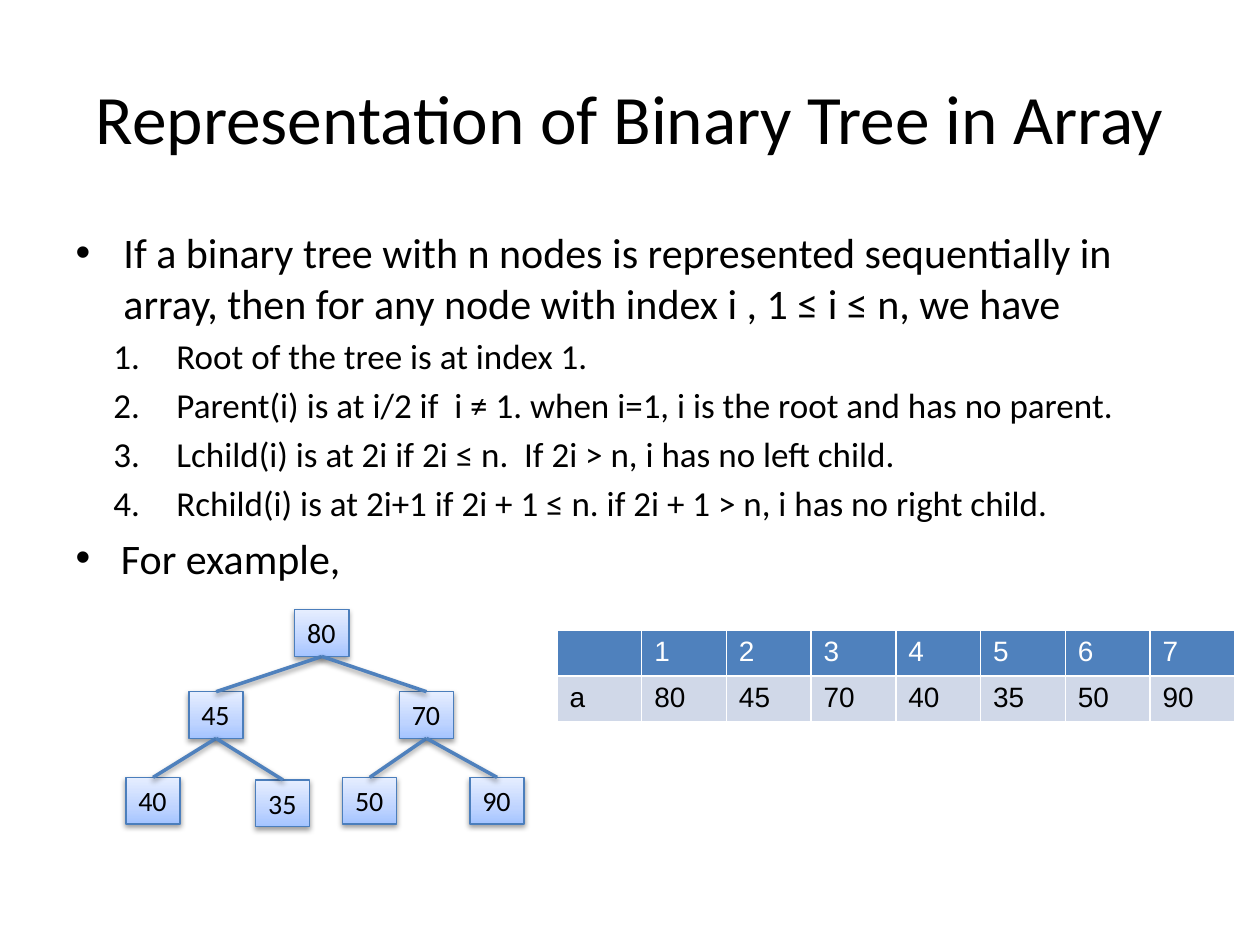
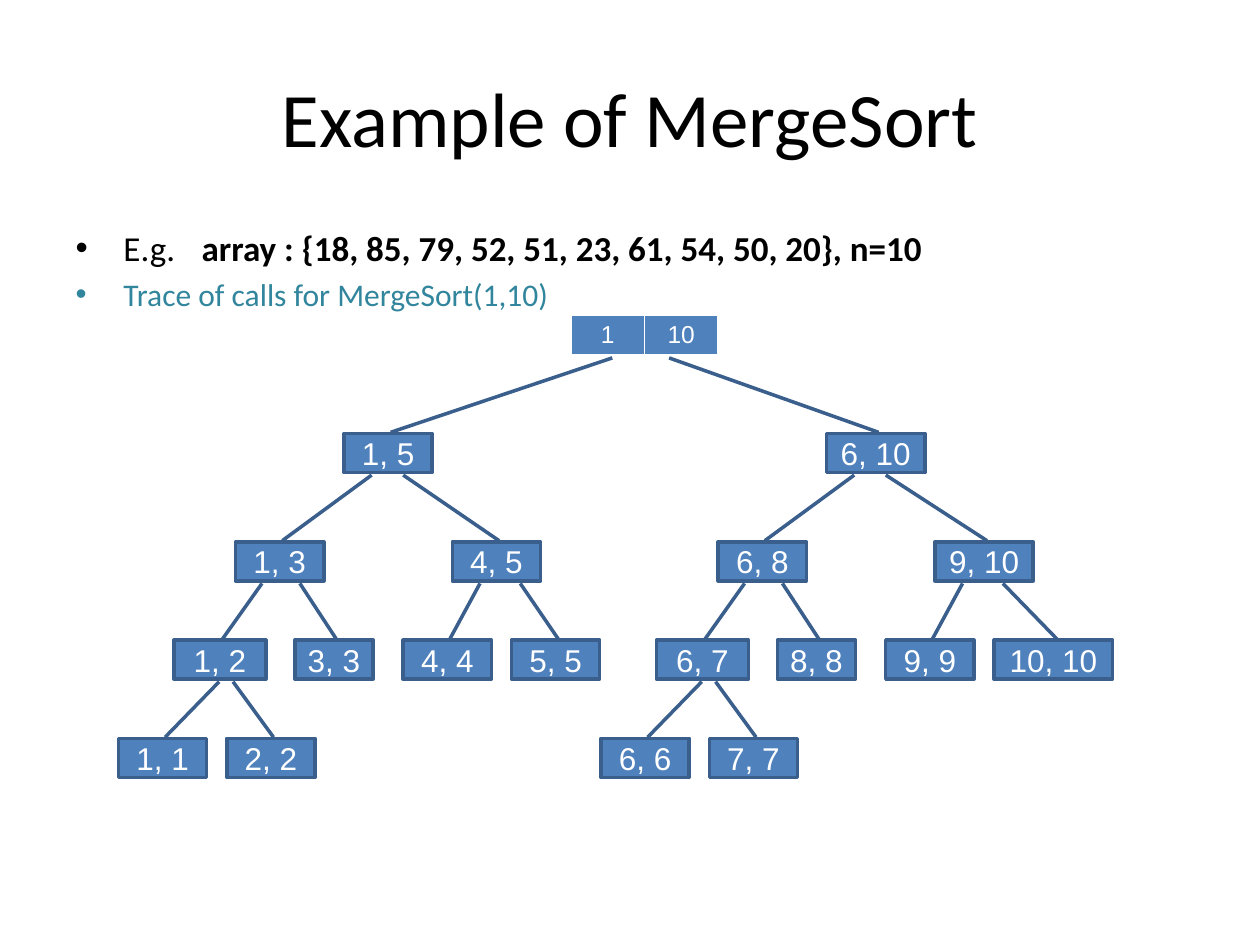
import copy
from dataclasses import dataclass

import lxml.etree
import pptx
import pptx.dml.color
import pptx.enum.shapes
import pptx.enum.text
import pptx.oxml.ns
import pptx.util

Inches = pptx.util.Inches
Pt = pptx.util.Pt
qn = pptx.oxml.ns.qn
Shapes = pptx.enum.shapes.MSO_SHAPE
Align = pptx.enum.text.PP_ALIGN
Anchor = pptx.enum.text.MSO_ANCHOR


@dataclass(frozen=True)
class Theme:
    heading_font: str = "Calibri"
    diagram_font: str = "Arial"
    ink: str = "000000"
    white: str = "FFFFFF"
    blue: str = "4F81BD"
    outline: str = "4B7EBC"
    dark_blue: str = "3A5F8C"
    pale_blue: str = "D0D8E8"
    teal: str = "31859C"
    node_gradient: tuple = ((0, "A4C4FF"), (0.35, "BFD4FF"), (1, "E6EEFF"))
    title_size: float = 44
    tight_title_size: float = 39.6
    list_size: float = 24
    sublist_size: float = 20
    note_size: float = 18
    node_size: float = 16
    small_size: float = 14


THEME = Theme()


@dataclass(frozen=True)
class Box:
    left: float
    top: float
    width: float
    height: float

    def emu(self):
        return [Inches(v) for v in (self.left, self.top, self.width, self.height)]


TITLE_BOX = Box(0.5, 0.3, 9, 1.25)
BODY_BOX = Box(0.5, 1.75, 9, 4.95)


# Shared helpers
def rgb(value):
    return pptx.dml.color.RGBColor.from_string(value)


def set_font(font, size, color, name=THEME.heading_font, bold=False):
    font.name, font.size, font.bold = name, Pt(size), bold
    font.color.rgb = rgb(color)


def place(shape, box):
    shape.left, shape.top, shape.width, shape.height = box.emu()


def add_page(deck, title, size):
    page = deck.slides.add_slide(deck.slide_layouts[1])
    heading = page.shapes.title
    place(heading, TITLE_BOX)
    frame = heading.text_frame
    frame.text, frame.vertical_anchor = title, Anchor.MIDDLE
    frame.paragraphs[0].alignment = Align.CENTER
    set_font(frame.paragraphs[0].font, size, THEME.ink)
    return page


def set_marker(para, margin, hanging, numbered=False):
    props = para._p.get_or_add_pPr()
    props.set("marL", str(Inches(margin)))
    props.set("indent", str(-Inches(hanging)))
    kind, value = ("buAutoNum", ("type", "arabicPeriod")) if numbered else ("buChar", ("char", "•"))
    marker = lxml.etree.Element(qn("a:" + kind))
    marker.set(*value)
    # Markers come before the default run properties
    defaults = props.find(qn("a:defRPr"))
    defaults.addprevious(marker)


def add_list(page, box, items):
    """Each item: text, size, colour, margin, hanging indent, numbered."""
    body = page.placeholders[1]
    place(body, box)
    frame = body.text_frame
    for index, (text, size, color, margin, hanging, numbered) in enumerate(items):
        para = frame.add_paragraph() if index else frame.paragraphs[0]
        para.text, para.level = text, int(numbered)
        set_font(para.font, size, color)
        set_marker(para, margin, hanging, numbered)
    return frame


def add_soft_shadow(shape):
    props = shape._element.spPr
    for old in props.findall(qn("a:effectLst")):
        props.remove(old)
    effects = lxml.etree.SubElement(props, qn("a:effectLst"))
    shadow = lxml.etree.SubElement(effects, qn("a:outerShdw"), blurRad=str(Pt(3.1)),
                                   dist=str(Pt(1.6)), dir="5400000", rotWithShape="0")
    color = lxml.etree.SubElement(shadow, qn("a:srgbClr"), val=THEME.ink)
    lxml.etree.SubElement(color, qn("a:alpha"), val="38000")


def add_grid(page, box, rows, size, align):
    """Table with a blue first row and pale rows below it."""
    grid = page.shapes.add_table(len(rows), len(rows[0]), *box.emu()).table
    for r, row in enumerate(rows):
        fill, ink = (THEME.pale_blue, THEME.ink) if r else (THEME.blue, THEME.white)
        for c, text in enumerate(row):
            cell = grid.cell(r, c)
            cell.fill.solid()
            cell.fill.fore_color.rgb = rgb(fill)
            cell.text = text
            para = cell.text_frame.paragraphs[0]
            para.alignment = align
            set_font(para.font, size, ink, THEME.diagram_font)


# Binary tree: node i hangs under node i // 2
NODE_WIDTH, NODE_HEIGHT = 0.43, 0.37
VALUES = ["80", "45", "70", "40", "35", "50", "90"]
NODE_OFFSETS = [(1.34, 0), (0.5, 0.65), (2.17, 0.65),
                (0, 1.33), (1.03, 1.35), (1.72, 1.33), (2.73, 1.33)]


def add_tree_node(page, box, text):
    node = page.shapes.add_shape(Shapes.RECTANGLE, *box.emu())
    node.fill.gradient()
    node.fill.gradient_angle = 90
    stops = node._element.spPr.find(qn("a:gradFill")).find(qn("a:gsLst"))
    stops.insert(1, copy.deepcopy(stops[0]))
    for stop, (position, color) in zip(node.fill.gradient_stops, THEME.node_gradient):
        stop.position = position
        stop.color.rgb = rgb(color)
    node.line.color.rgb = rgb(THEME.outline)
    node.line.width = Pt(0.75)
    add_soft_shadow(node)
    frame = node.text_frame
    frame.text, frame.word_wrap, frame.vertical_anchor = text, False, Anchor.TOP
    frame.paragraphs[0].alignment = Align.LEFT
    set_font(frame.paragraphs[0].font, THEME.node_size, THEME.ink)


def add_binary_tree(page, left, top):
    boxes = [Box(left + x, top + y, NODE_WIDTH, NODE_HEIGHT) for x, y in NODE_OFFSETS]
    for box, value in zip(boxes, VALUES):
        add_tree_node(page, box, value)
    for index in range(2, len(boxes) + 1):
        parent, child = boxes[index // 2 - 1], boxes[index - 1]
        edge = page.shapes.add_connector(
            pptx.enum.shapes.MSO_CONNECTOR.STRAIGHT,
            Inches(parent.left + NODE_WIDTH / 2), Inches(parent.top + NODE_HEIGHT),
            Inches(child.left + NODE_WIDTH / 2), Inches(child.top))
        edge.line.color.rgb = rgb(THEME.blue)
        edge.line.width = Pt(2)
        add_soft_shadow(edge)


# Merge sort calls: each callout points up to its parent
CALL_HEIGHT = 0.31
LEVEL_TOPS = [0, 0.86, 1.64, 2.42]
# first, last, level, left, width, pointer x
CALLS = [
    (1, 3, 1, 0.93, 0.7, 2.01), (1, 2, 2, 0.44, 0.73, 1.14),
    (1, 1, 3, 0, 0.7, 0.8), (2, 2, 3, 0.86, 0.7, 0.91),
    (3, 3, 2, 1.4, 0.62, 1.44), (4, 5, 1, 2.65, 0.7, 2.26),
    (4, 4, 2, 2.26, 0.7, 2.87), (5, 5, 2, 3.12, 0.7, 3.19),
]
WIDE_CALLS = {1: 0.78, 2: 0.94}  # width by number of two-digit bounds


def add_call(page, box, text, pointer_x, pointer_y):
    call = page.shapes.add_shape(Shapes.LINE_CALLOUT_1, *box.emu())
    call.shadow.inherit = False
    pointer = (-0.03, 0.53, (pointer_y - box.top) / box.height,
               (pointer_x - box.left) / box.width)
    for index, value in enumerate(pointer):
        call.adjustments[index] = value
    call.fill.solid()
    call.fill.fore_color.rgb = rgb(THEME.blue)
    call.line.color.rgb = rgb(THEME.dark_blue)
    call.line.width = Pt(2)
    frame = call.text_frame
    frame.text, frame.word_wrap, frame.vertical_anchor = text, False, Anchor.MIDDLE
    frame.paragraphs[0].alignment = Align.CENTER
    set_font(frame.paragraphs[0].font, THEME.note_size, THEME.white, THEME.diagram_font)


def add_call_tree(page, left, top, shift, root_pointer):
    """Half of the call tree, with its array bounds moved by shift."""
    for first, last, level, x, width, pointer in [(1, 5, 0, 1.79, 0.7, root_pointer)] + CALLS:
        bounds = (first + shift, last + shift)
        width = WIDE_CALLS.get(bounds.count(10), width)
        box = Box(left + x, top + LEVEL_TOPS[level], width, CALL_HEIGHT)
        pointer_y = top + (LEVEL_TOPS[level - 1] + CALL_HEIGHT + 0.02 if level else -0.6)
        add_call(page, box, f"{bounds[0]}, {bounds[1]}", left + pointer, pointer_y)


# Slides
def add_array_page(deck):
    page = add_page(deck, "Representation of Binary Tree in Array", THEME.tight_title_size)
    rules = [
        "Root of the tree is at index 1.",
        "Parent(i) is at i/2 if  i ≠ 1. when i=1, i is the root and has no parent.",
        "Lchild(i) is at 2i if 2i ≤ n.  If 2i > n, i has no left child.",
        "Rchild(i) is at 2i+1 if 2i + 1 ≤ n. if 2i + 1 > n, i has no right child.",
    ]
    intro = ("If a binary tree with n nodes is represented sequentially in array, "
             "then for any node with index i , 1 ≤ i ≤ n, we have")
    add_list(page, BODY_BOX, [
        (intro, THEME.list_size, THEME.ink, 0.38, 0.38, False),
        *[(rule, THEME.sublist_size, THEME.ink, 0.8, 0.5, True) for rule in rules],
        ("For example,", THEME.list_size, THEME.ink, 0.36, 0.36, False),
    ])
    add_binary_tree(page, 1, 4.84)
    indexes = [str(i) for i in range(1, len(VALUES) + 1)]
    add_grid(page, Box(4.42, 5, 5.38, 0.73), [["", *indexes], ["a", *VALUES]],
             THEME.node_size, Align.LEFT)


def add_merge_sort_page(deck):
    page = add_page(deck, "Example of MergeSort", THEME.title_size)
    frame = add_list(page, BODY_BOX, [
        ("E.g.\t", THEME.sublist_size, THEME.ink, 0.38, 0.38, False),
        ("Trace of calls for MergeSort(1,10)", THEME.note_size, THEME.teal, 0.38, 0.38, False),
    ])
    span = frame.paragraphs[0].add_run()
    span.text = "array : {18, 85, 79, 52, 51, 23, 61, 54, 50, 20}, n=10"
    span.font.bold = True
    add_grid(page, Box(4.53, 2.5, 1.17, 0.3), [["1", "10"]], THEME.small_size, Align.CENTER)
    add_call_tree(page, 0.94, 3.44, 0, 3.92)
    add_call_tree(page, 4.77, 3.44, 5, 0.54)


def main():
    deck = pptx.Presentation()
    deck.slide_width, deck.slide_height = Inches(10), Inches(7.5)
    add_array_page(deck)
    add_merge_sort_page(deck)
    deck.save("out.pptx")


if __name__ == "__main__":
    main()
